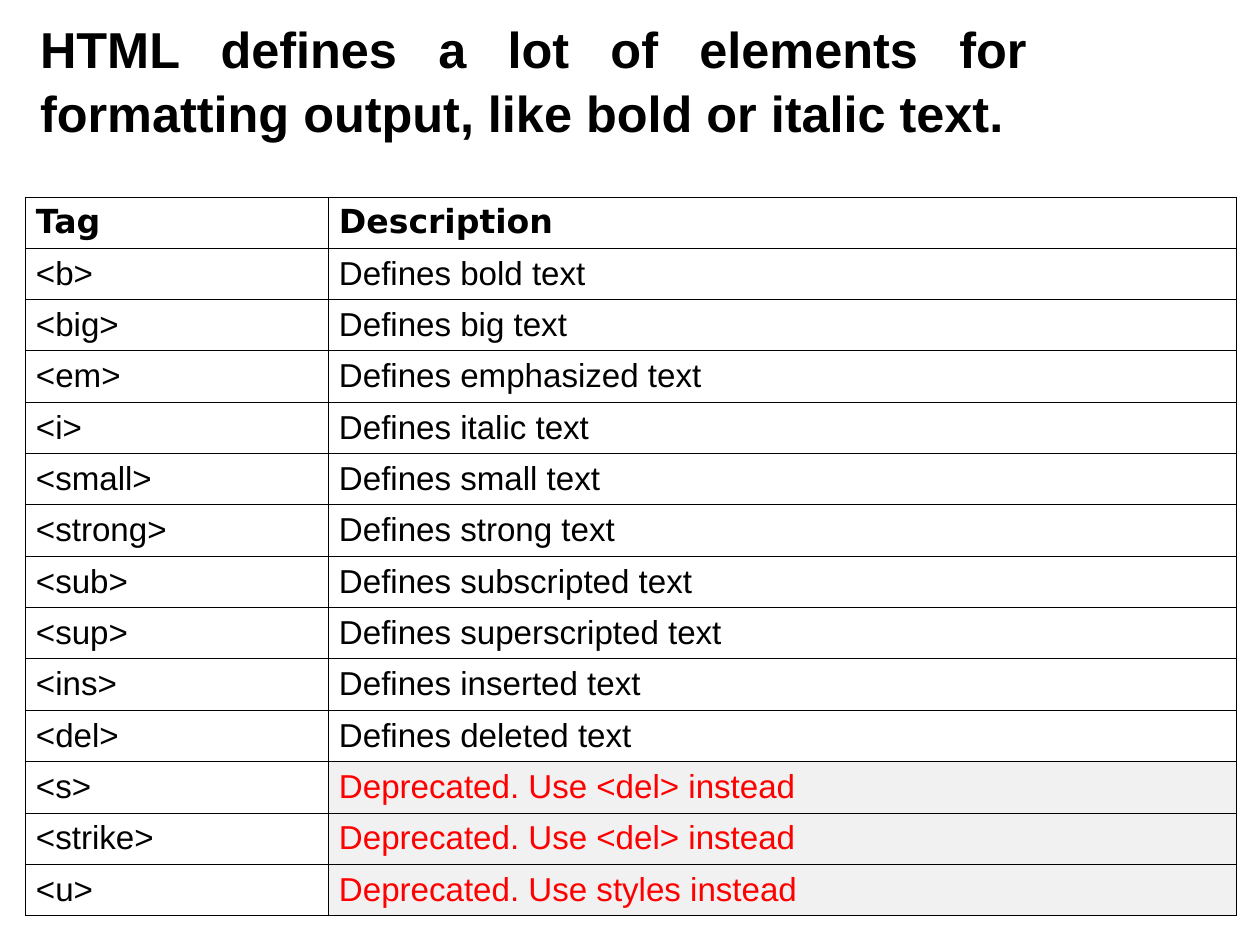
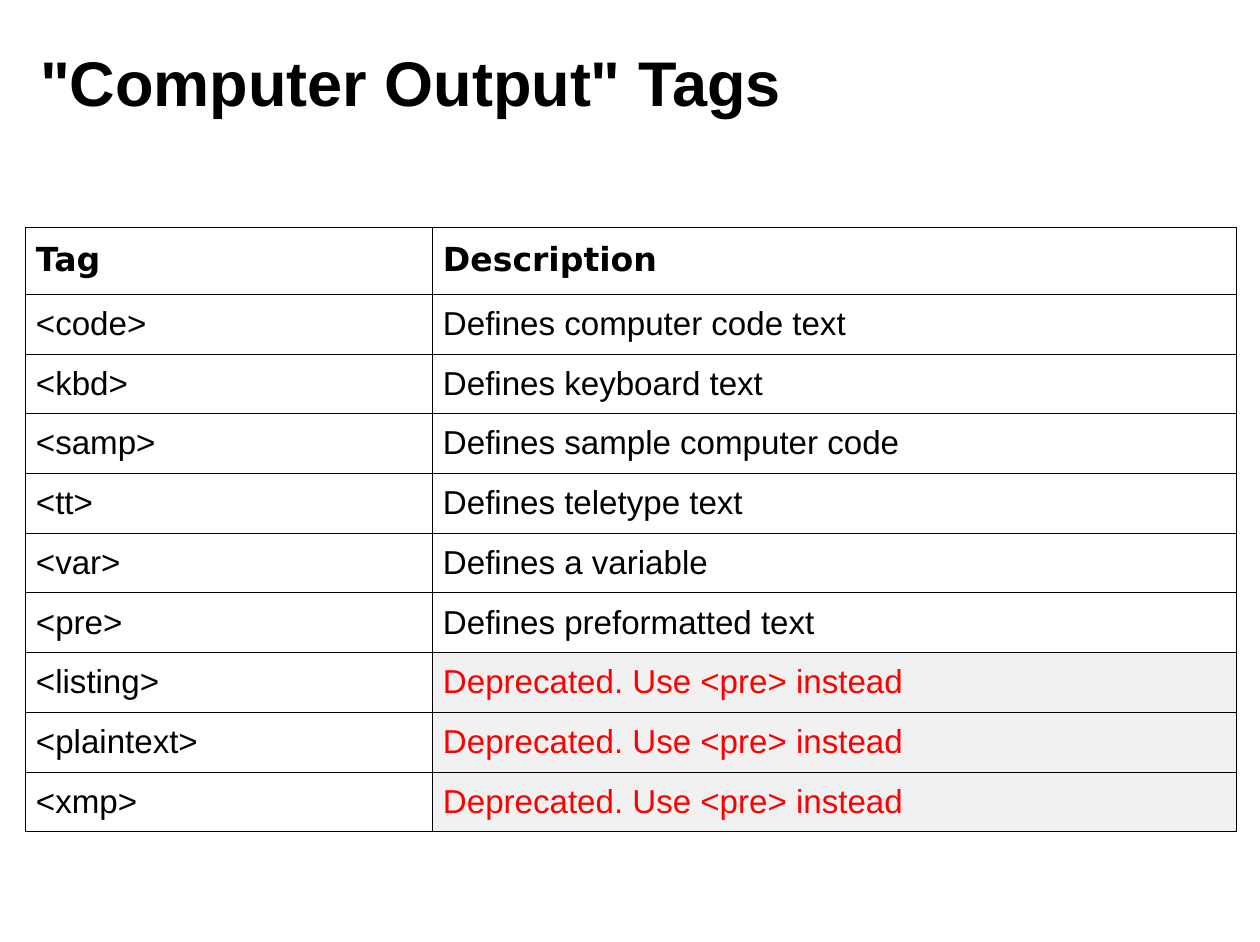
from lxml import etree
from pptx import Presentation
from pptx.dml.color import RGBColor
from pptx.enum.text import MSO_ANCHOR, MSO_AUTO_SIZE, PP_ALIGN
from pptx.oxml.ns import qn
from pptx.util import Pt

MIDDLE = MSO_ANCHOR.MIDDLE
NO_AUTOFIT = MSO_AUTO_SIZE.NONE
LEFT, JUSTIFY = PP_ALIGN.LEFT, PP_ALIGN.JUSTIFY

PX = 8056  # EMU in one px
COLORS = {"text": "000000", "border": "000000",
          "deprecated": "FF0000", "deprecated_fill": "F1F1F1"}
BODY_FONT, HEADER_FONT = "Arial", "DejaVu Sans"
BORDER_WIDTH = Pt(0.34)
TABLE_LEFT = 25

TITLE_BOX = {"left": 28 * PX, "top": 21 * PX, "width": 1012 * PX, "height": 116 * PX}
TITLE_FRAME = {"margin_left": 12 * PX, "margin_right": 12 * PX,
               "margin_top": 7 * PX, "margin_bottom": 7 * PX,
               "vertical_anchor": MIDDLE, "word_wrap": True, "auto_size": NO_AUTOFIT}
CELL_FORMAT = {"margin_left": 11 * PX, "margin_right": 11 * PX,
               "margin_top": 6 * PX, "margin_bottom": 6 * PX,
               "vertical_anchor": MIDDLE}

SLIDES = [
    {
        "title": "HTML defines a lot of elements for formatting output, like bold or italic text.",
        "title_size": 32, "title_align": JUSTIFY,
        "top": 197, "height": 719, "header_height": 51, "columns": (303, 908),
        "rows": [
            ("Tag", "Description"),
            ("<b>", "Defines bold text"),
            ("<big>", "Defines big text"),
            ("<em>", "Defines emphasized text"),
            ("<i>", "Defines italic text"),
            ("<small>", "Defines small text"),
            ("<strong>", "Defines strong text"),
            ("<sub>", "Defines subscripted text"),
            ("<sup>", "Defines superscripted text"),
            ("<ins>", "Defines inserted text"),
            ("<del>", "Defines deleted text"),
            ("<s>", "Deprecated. Use <del> instead"),
            ("<strike>", "Deprecated. Use <del> instead"),
            ("<u>", "Deprecated. Use styles instead"),
        ],
    },
    {
        "title": '"Computer Output" Tags',
        "title_size": 40, "title_align": LEFT,
        "top": 227, "height": 605, "header_height": 67, "columns": (407, 804),
        "rows": [
            ("Tag", "Description"),
            ("<code>", "Defines computer code text"),
            ("<kbd>", "Defines keyboard text"),
            ("<samp>", "Defines sample computer code"),
            ("<tt>", "Defines teletype text"),
            ("<var>", "Defines a variable"),
            ("<pre>", "Defines preformatted text"),
            ("<listing>", "Deprecated. Use <pre> instead"),
            ("<plaintext>", "Deprecated. Use <pre> instead"),
            ("<xmp>", "Deprecated. Use <pre> instead"),
        ],
    },
]


def apply_format(target, values):
    for name, value in values.items():
        setattr(target, name, value)


def style_paragraph(paragraph, size, font_name, bold, color):
    apply_format(paragraph.font, {"size": Pt(size), "name": font_name, "bold": bold})
    paragraph.font.color.rgb = RGBColor.from_string(COLORS[color])


presentation = Presentation()
presentation.slide_width = 1260 * PX
presentation.slide_height = 942 * PX
title_only = presentation.slide_layouts[5]

for content in SLIDES:
    slide = presentation.slides.add_slide(title_only)

    # Title
    title = slide.shapes.title
    apply_format(title, TITLE_BOX)
    apply_format(title.text_frame, TITLE_FRAME)
    title.text_frame.text = content["title"]
    paragraph = title.text_frame.paragraphs[0]
    apply_format(paragraph, {"alignment": content["title_align"], "line_spacing": 1.05})
    style_paragraph(paragraph, content["title_size"], BODY_FONT, True, "text")

    # Table grid: a header row, then equal rows
    rows, columns = content["rows"], content["columns"]
    table = slide.shapes.add_table(
        len(rows), len(columns), TABLE_LEFT * PX, content["top"] * PX,
        sum(columns) * PX, content["height"] * PX).table
    apply_format(table, {"first_row": False, "horz_banding": False})
    for column, width in zip(table.columns, columns):
        column.width = width * PX
    header_height = content["header_height"] * PX
    row_height = (content["height"] * PX - header_height) // (len(rows) - 1)

    # Table cells
    for row_index, texts in enumerate(rows):
        is_header = row_index == 0
        table.rows[row_index].height = header_height if is_header else row_height
        for column_index, text in enumerate(texts):
            cell = table.cell(row_index, column_index)
            is_deprecated = text.startswith("Deprecated")
            cell.text = text
            apply_format(cell, CELL_FORMAT)
            style_paragraph(cell.text_frame.paragraphs[0], 21,
                            HEADER_FONT if is_header else BODY_FONT, is_header,
                            "deprecated" if is_deprecated else "text")

            # Borders come before the fill in the cell properties
            properties = cell._tc.get_or_add_tcPr()
            for side in ("a:lnL", "a:lnR", "a:lnT", "a:lnB"):
                line = etree.SubElement(properties, qn(side), w=str(BORDER_WIDTH))
                solid = etree.SubElement(line, qn("a:solidFill"))
                etree.SubElement(solid, qn("a:srgbClr"), val=COLORS["border"])
            if is_deprecated:
                cell.fill.solid()
                cell.fill.fore_color.rgb = RGBColor.from_string(COLORS["deprecated_fill"])
            else:
                cell.fill.background()

presentation.save("out.pptx")
